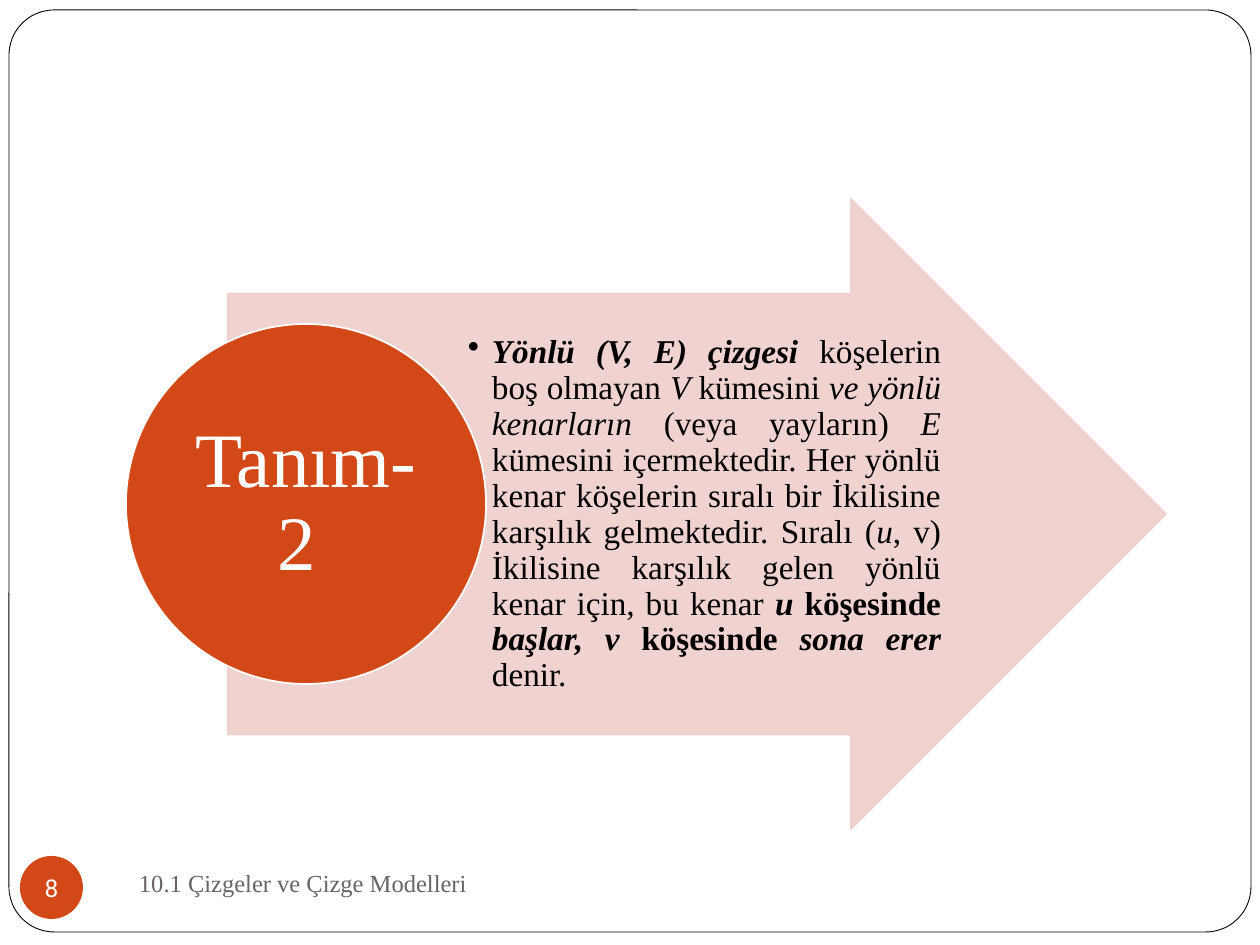
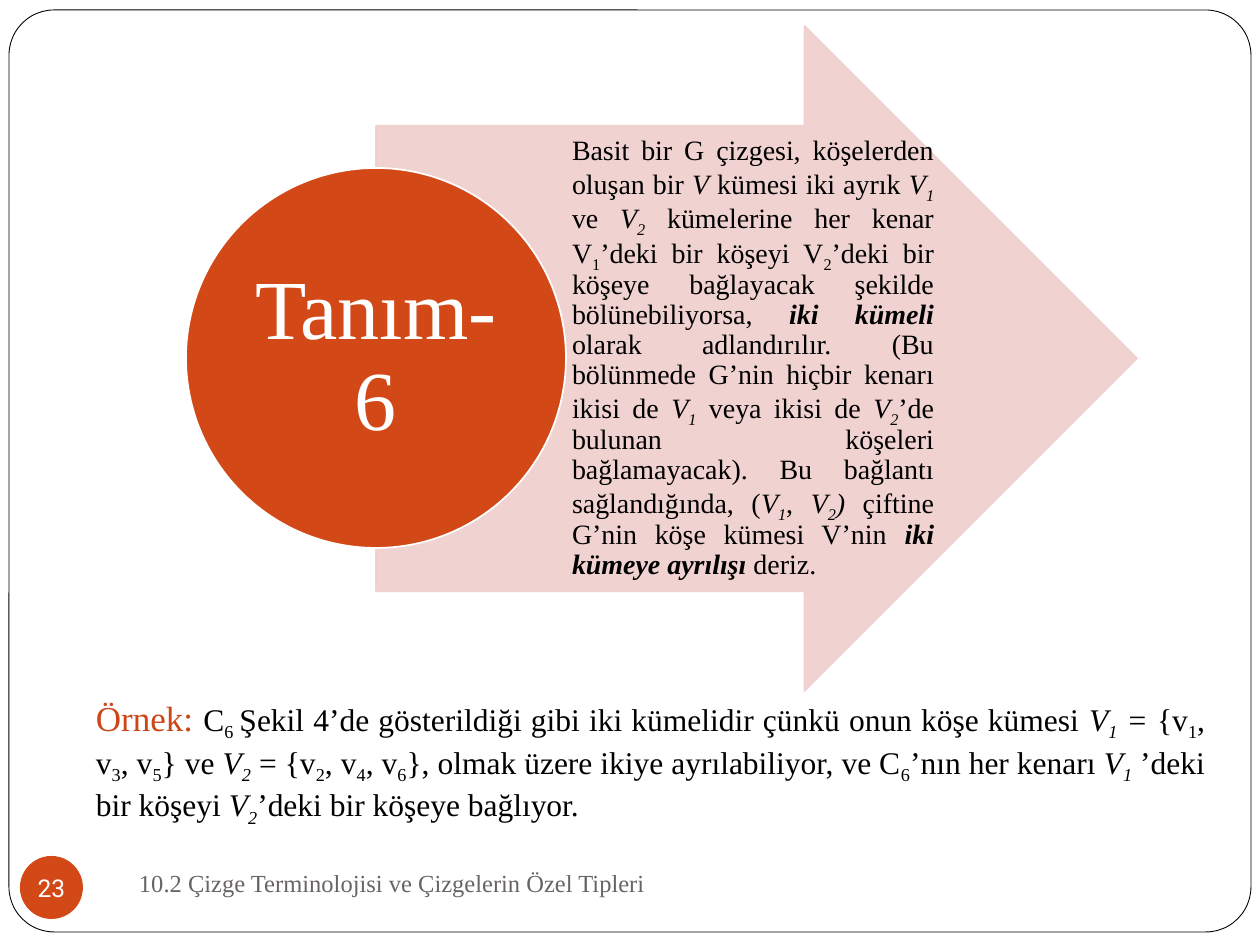
from pptx import Presentation
from pptx.dml.color import RGBColor
from pptx.enum.shapes import MSO_SHAPE
from pptx.enum.text import MSO_ANCHOR, PP_ALIGN
from pptx.oxml.ns import qn
from pptx.util import Emu, Pt
from lxml.etree import SubElement

WHITE = RGBColor(0xFF, 0xFF, 0xFF)
BLACK = RGBColor(0x00, 0x00, 0x00)
ORANGE = RGBColor(0xD3, 0x48, 0x17)
PINK = RGBColor(0xEF, 0xCF, 0xCC)
GREY = RGBColor(0x69, 0x64, 0x64)
RUST = RGBColor(0xCC, 0x46, 0x16)
SERIF = "Times New Roman"
PX = 914400 / 126


def add_shape(s, kind, box, fill, line=None, width=1, adj=(), alpha=None):
    sp = s.shapes.add_shape(kind, *[Emu(round(v * PX)) for v in box])
    sp.shadow.inherit = False
    for i, value in enumerate(adj):
        sp.adjustments[i] = value
    sp.fill.solid()
    sp.fill.fore_color.rgb = fill
    if line is None:
        sp.line.fill.background()
    else:
        sp.line.color.rgb = line
        sp.line.width = Pt(width)
    if alpha:
        for clr in sp._element.spPr.iter(qn("a:srgbClr")):
            SubElement(clr, qn("a:alpha")).set("val", str(alpha * 1000))
    return sp


def add_text(s, box, runs, size, color, align=PP_ALIGN.LEFT, anchor=MSO_ANCHOR.MIDDLE,
             ins=(13, 6, 13, 6), spacing=None, bullet=False, sp=None, font=SERIF):
    sp = sp or s.shapes.add_textbox(*[Emu(round(v * PX)) for v in box])
    tf = sp.text_frame
    tf.word_wrap = box is not None
    tf.vertical_anchor = anchor
    tf.margin_left, tf.margin_top, tf.margin_right, tf.margin_bottom = [
        Emu(round(v * PX)) for v in ins]
    p = tf.paragraphs[0]
    p.alignment = align
    if spacing:
        p.line_spacing = spacing
    if bullet:
        pPr = p._p.get_or_add_pPr()
        indent = round(24 * PX)
        pPr.set("marL", str(indent))
        pPr.set("indent", str(-indent))
        SubElement(pPr, qn("a:buChar")).set("char", "•")
    for text, style in runs:
        r = p.add_run()
        r.text = text
        r.font.name = font
        r.font.size = Pt(size)
        r.font.color.rgb = color
        r.font.bold = "b" in style
        r.font.italic = "i" in style
        if "s" in style:
            r._r.get_or_add_rPr().set("baseline", "-25000")
    return p


V1 = [("V", "i"), ("1", "is")]
V2 = [("V", "i"), ("2", "is")]

directed_graph = [
    ("Yönlü (V, E) çizgesi ", "bi"), ("köşelerin boş olmayan ", ""), ("V ", "i"),
    ("kümesini ", ""), ("ve yönlü kenarların", "i"), (" (veya yayların) ", ""), ("E", "i"),
    (" kümesini içermektedir. Her yönlü kenar köşelerin sıralı bir İkilisine karşılık "
     "gelmektedir. Sıralı (", ""),
    ("u", "i"),
    (", v) İkilisine karşılık gelen yönlü kenar için, bu kenar ", ""),
    ("u", "bi"), (" köşesinde ", "b"), ("başlar, v", "bi"), (" köşesinde ", "b"),
    ("sona erer ", "bi"), ("denir.", ""),
]

bipartite = [
    ("Basit bir G çizgesi, köşelerden oluşan bir ", ""), ("V", "i"),
    (" kümesi iki ayrık ", ""), *V1, (" ve ", ""), *V2,
    (" kümelerine her kenar V", ""), ("1", "s"), ("’deki bir köşeyi V", ""), ("2", "s"),
    ("’deki bir köşeye bağlayacak şekilde bölünebiliyorsa, ", ""), ("iki kümeli ", "bi"),
    ("olarak adlandırılır. (Bu bölünmede G’nin hiçbir kenarı ikisi de ", ""), *V1,
    (" veya ikisi de ", ""), *V2,
    ("’de bulunan köşeleri bağlamayacak). Bu bağlantı sağlandığında, (", ""), *V1,
    (", ", ""), *V2, (")", "i"), (" çiftine G’nin köşe kümesi V’nin ", ""),
    ("iki kümeye ayrılışı", "bi"), (" deriz.", ""),
]

example = [
    ("Örnek: ", ""), ("C", ""), ("6 ", "s"),
    ("Şekil 4’de gösterildiği gibi iki kümelidir çünkü onun köşe kümesi ", ""), *V1,
    (" =", "i"), (" {v", ""), ("1", "s"), (", v", ""), ("3", "s"), (", v", ""), ("5", "s"),
    ("} ve ", ""), *V2, (" = {v", ""), ("2", "s"), (", v", ""), ("4", "s"), (", v", ""),
    ("6", "s"), ("}, olmak üzere ikiye ayrılabiliyor, ve C", ""), ("6", "s"),
    ("’nın her kenarı ", ""), *V1, (" ’deki bir köşeyi ", ""), *V2,
    ("’deki bir köşeye bağlıyor.", ""),
]

slides = [
    dict(number="8", footer="10.1 Çizgeler ve Çizge Modelleri",
         arrow=(228, 199, 938, 630), circle=(126, 324, 360, 360),
         label="Tanım-2 ", label_box=(179, 377, 254, 254), label_size=44,
         body=directed_graph, body_box=(462, 294, 483, 441), body_size=19,
         body_ins=(6, 1, 4, 1), bullet=True),
    dict(number="23", footer="10.2 Çizge Terminolojisi ve Çizgelerin Özel Tipleri",
         arrow=(376, 26, 761, 665), circle=(186, 168, 380, 380),
         label="Tanım-6", label_box=(242, 224, 268, 268), label_size=48,
         body=bipartite, body_box=(567, 126, 370, 465), body_size=16,
         body_ins=(5, 1, 3, 1), bullet=False),
]

prs = Presentation()
prs.slide_width = Emu(round(1260 * PX))
prs.slide_height = Emu(round(945 * PX))

for d in slides:
    s = prs.slides.add_slide(prs.slide_layouts[6])
    add_shape(s, MSO_SHAPE.ROUNDED_RECTANGLE, (9, 10, 1242, 922), WHITE, BLACK, 0.5, [0.049])
    add_text(s, (126, 851, 546, 63), [(d["footer"], "")], 14, GREY)
    badge = add_shape(s, MSO_SHAPE.OVAL, (20, 856, 63, 63), ORANGE)
    add_text(s, None, [(d["number"], "")], 14, WHITE, PP_ALIGN.CENTER,
             ins=(0, 0, 0, 0), sp=badge, font="Roboto")
    add_shape(s, MSO_SHAPE.RIGHT_ARROW, d["arrow"], PINK, PINK, 1, [0.7, 0.5], 90)
    add_text(s, d["body_box"], d["body"], d["body_size"], BLACK, PP_ALIGN.JUSTIFY,
             ins=d["body_ins"], spacing=0.9, bullet=d["bullet"])
    add_shape(s, MSO_SHAPE.OVAL, d["circle"], ORANGE, WHITE)
    add_text(s, d["label_box"], [(d["label"], "")], d["label_size"], WHITE,
             PP_ALIGN.CENTER, ins=(4, 4, 4, 4), spacing=0.9)

p = add_text(s, (83, 690, 1135, 131), example, 18, BLACK, PP_ALIGN.JUSTIFY, MSO_ANCHOR.TOP)
p.runs[0].font.size = Pt(20)
p.runs[0].font.color.rgb = RUST

prs.save("out.pptx")
